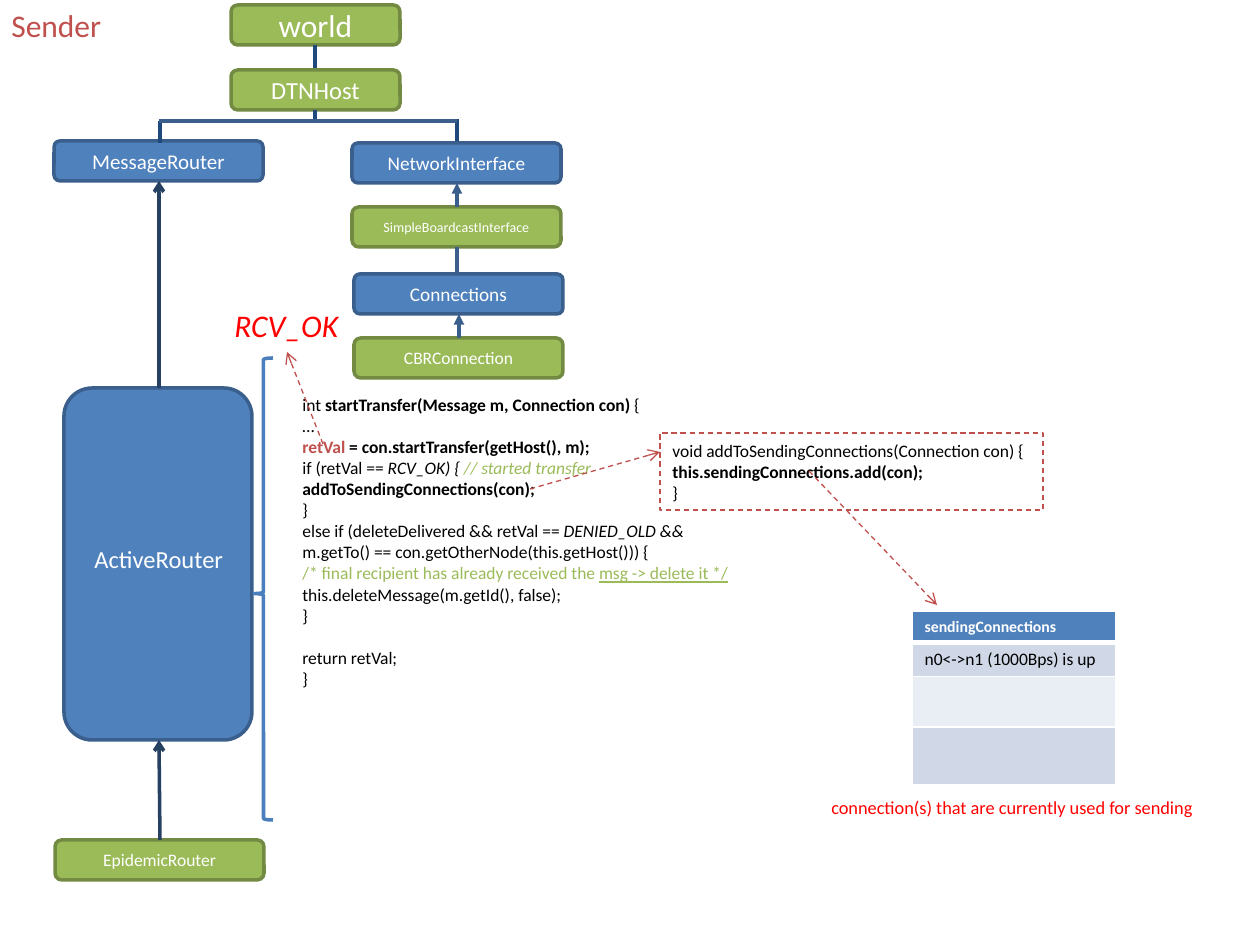
from dataclasses import dataclass

from lxml import etree
from pptx import Presentation
from pptx.dml.color import RGBColor
from pptx.enum.dml import MSO_LINE
from pptx.enum.shapes import MSO_CONNECTOR, MSO_SHAPE
from pptx.enum.text import MSO_ANCHOR, PP_ALIGN
from pptx.oxml.ns import qn
from pptx.util import Emu, Pt

STRAIGHT = MSO_CONNECTOR.STRAIGHT
ROUNDED, RECTANGLE, BRACE = MSO_SHAPE.ROUNDED_RECTANGLE, MSO_SHAPE.RECTANGLE, MSO_SHAPE.LEFT_BRACE
DASH = MSO_LINE.DASH
MIDDLE, CENTER, LEFT = MSO_ANCHOR.MIDDLE, PP_ALIGN.CENTER, PP_ALIGN.LEFT
EMU_PER_PX = 914400 / 126


@dataclass(frozen=True)
class Theme:
    font: str = "Calibri"
    white: str = "FFFFFF"
    black: str = "000000"
    green: str = "9BBB59"
    green_edge: str = "738A42"
    blue: str = "4F81BD"
    blue_edge: str = "3A5F8C"
    brace: str = "4B7EBC"
    navy: str = "1F497D"
    dark_navy: str = "254061"
    brick: str = "C0504D"
    red: str = "FF0000"
    band: str = "D0D8E8"
    pale_band: str = "E9EDF4"
    title: float = 18
    heading: float = 14
    label: float = 12
    sublabel: float = 11
    caption: float = 10.5
    code: float = 10
    header: float = 9
    tiny: float = 8
    thick: float = 2
    thin: float = 0.75


def px(value):
    return Emu(round(value * EMU_PER_PX))


def rgb(value):
    return RGBColor.from_string(value)


class Diagram:
    def __init__(self, slide, theme):
        self.slide, self.theme = slide, theme

    def style_font(self, font, size, color, bold=False, italic=False):
        font.name, font.size = self.theme.font, Pt(size)
        font.bold, font.italic = bold, italic
        font.color.rgb = rgb(color)

    def stroke(self, line, color, width, dash=None):
        line.color.rgb, line.width = rgb(color), Pt(width)
        if dash:
            line.dash_style = dash

    def shape(self, kind, frame, edge, width, fill=None, dash=None):
        box = self.slide.shapes.add_shape(kind, *map(px, frame))
        box.shadow.inherit = False
        if fill:
            box.fill.solid()
            box.fill.fore_color.rgb = rgb(fill)
        else:
            box.fill.background()
        self.stroke(box.line, edge, width, dash)
        return box

    def node(self, frame, name="", size=10, is_blue=False):
        theme = self.theme
        fill, edge = (theme.blue, theme.blue_edge) if is_blue else (theme.green, theme.green_edge)
        box = self.shape(ROUNDED, frame, edge, theme.thick, fill)
        if is_blue:
            box.adjustments[0] = 0.15
        if name:
            box.text_frame.vertical_anchor = MIDDLE
            para = box.text_frame.paragraphs[0]
            para.text, para.alignment = name, CENTER
            self.style_font(para.font, size, theme.white)

    def text(self, frame, words, size, color, italic=False):
        box = self.slide.shapes.add_textbox(*map(px, frame))
        box.text_frame.word_wrap = False
        para = box.text_frame.paragraphs[0]
        para.text = words
        self.style_font(para.font, size, color, italic=italic)

    def code(self, box, lines, gap_before=None):
        """Each line is a list of (text, style) spans; style letters are b, i, u, or a colour name."""
        frame = box.text_frame
        frame.word_wrap = False
        for index, spans in enumerate(lines):
            para = frame.paragraphs[0] if index == 0 else frame.add_paragraph()
            para.alignment = LEFT
            if index == gap_before:
                para.space_before = Pt(self.theme.code * 1.22)
            for words, styles in spans:
                span = para.add_run()
                span.text = words
                color = next((s for s in styles if len(s) > 1), "black")
                self.style_font(span.font, self.theme.code, getattr(self.theme, color),
                                "b" in styles, "i" in styles)
                span.font.underline = "u" in styles

    def line(self, start, end, color, width, head=None, dash=None):
        link = self.slide.shapes.add_connector(STRAIGHT, *map(px, start + end))
        self.stroke(link.line, color, width, dash)
        if head:
            etree.SubElement(link.line._get_or_add_ln(), qn("a:tailEnd"), type=head)
        etree.SubElement(link._element.spPr, qn("a:effectLst"))

    def table(self, frame, rows):
        theme = self.theme
        grid = self.slide.shapes.add_table(len(rows), 1, *map(px, frame)).table
        for index, (height, words, size, color, fill) in enumerate(rows):
            grid.rows[index].height = px(height)
            cell = grid.cell(index, 0)
            if words:
                para = cell.text_frame.paragraphs[0]
                para.text = words
                self.style_font(para.font, size, color, bold=index == 0)
            properties = cell._tc.get_or_add_tcPr()
            for side in ("lnL", "lnR", "lnT", "lnB"):
                heavy = (index, side) in ((0, "lnB"), (1, "lnT"))
                border = etree.SubElement(properties, qn("a:" + side), w=str(Pt(3 if heavy else 1)))
                paint = etree.SubElement(border, qn("a:solidFill"))
                etree.SubElement(paint, qn("a:srgbClr"), val=theme.white)
            cell.fill.solid()
            cell.fill.fore_color.rgb = rgb(fill)


def main():
    deck = Presentation()
    deck.slide_width, deck.slide_height = px(1260), px(945)
    page = deck.slides.add_slide(deck.slide_layouts[6])
    theme = Theme()
    diagram = Diagram(page, theme)

    # Class boxes: left, top, width, name, size, is_blue
    for left, top, width, name, size, is_blue in (
        (231, 5, 169, "world", theme.title, False),
        (231, 70, 169, "DTNHost", theme.heading, False),
        (54, 141, 209, "MessageRouter", theme.label, True),
        (352, 143, 209, "NetworkInterface", theme.sublabel, True),
        (352, 207, 209, "SimpleBoardcastInterface", theme.tiny, False),
        (354, 274, 209, "Connections", theme.sublabel, True),
        (354, 338, 209, "CBRConnection", theme.code, False),
        (55, 840, 209, "EpidemicRouter", theme.code, False),
    ):
        diagram.node((left, top, width, 40), name, size, is_blue)
    diagram.node((64, 388, 188, 352), is_blue=True)

    # Hierarchy lines
    for start, end, color, head in (
        ((315, 45), (315, 68), theme.navy, None),
        ((315, 110), (315, 121), theme.navy, None),
        ((160, 121), (160, 143), theme.navy, None),
        ((457, 119), (457, 141), theme.navy, None),
        ((159, 121), (326, 121), theme.blue_edge, None),
        ((290, 121), (457, 121), theme.blue_edge, None),
        ((160, 840), (159, 740), theme.dark_navy, "arrow"),
        ((159, 388), (159, 181), theme.dark_navy, "arrow"),
        ((457, 207), (457, 183), theme.blue_edge, "triangle"),
        ((457, 247), (457, 274), theme.blue_edge, None),
        ((459, 338), (459, 314), theme.blue_edge, "triangle"),
    ):
        diagram.line(start, end, color, theme.thick, head)

    # Brace from the active router to its code
    brace = diagram.shape(BRACE, (254, 358, 19, 462), theme.brace, theme.thick)
    brace.adjustments[0], brace.adjustments[1] = 0.08, 0.51

    # Labels
    diagram.text((82, 538, 156, 43), "ActiveRouter", theme.heading, theme.white)
    diagram.text((-1, 0, 116, 50), "Sender", theme.title, theme.brick)
    diagram.text((222, 300, 130, 50), "RCV_OK", theme.title, theme.red, italic=True)
    diagram.text((819, 790, 393, 35), "connection(s) that are currently used for sending",
                 theme.caption, theme.red)

    # Code of the transfer method
    listing = page.shapes.add_textbox(*map(px, (290, 388, 457, 310)))
    diagram.code(listing, [
        [("int ", ()), ("startTransfer(Message m, Connection con) ", ("b",)), ("{", ())],
        [("…", ())],
        [("retVal", ("b", "brick")), (" = con.startTransfer(getHost(), m);", ("b",))],
        [("if (retVal == ", ()), ("RCV_OK) { ", ("i",)), ("// started transfer", ("i", "green"))],
        [("addToSendingConnections(con);", ("b",))],
        [("}", ())],
        [("else if (deleteDelivered && retVal == ", ()), ("DENIED_OLD &&", ("i",))],
        [("m.getTo() == con.getOtherNode(this.getHost())) {", ())],
        [("/* final recipient has already received the ", ("green",)),
         ("msg -> delete it */", ("u", "green"))],
        [("this.deleteMessage(m.getId(), false);", ())],
        [("}", ())],
        [("return retVal;", ())],
        [("}", ())],
    ], gap_before=11)

    # Code of the called method
    callout = diagram.shape(RECTANGLE, (660, 433, 383, 77), theme.brick, theme.thin, dash=DASH)
    diagram.code(callout, [
        [("void addToSendingConnections(Connection con) {", ())],
        [("this.sendingConnections.add(con);", ("b",))],
        [("}", ())],
    ])

    # Dashed call arrows
    for start, end in (((323, 444), (287, 352)), ((530, 489), (660, 452)), ((809, 471), (937, 605))):
        diagram.line(start, end, theme.brick, theme.thin, "arrow", DASH)

    # Table of sending connections: height, words, size, colour, fill
    diagram.table((912, 611, 204, 172), [
        (30, "sendingConnections", theme.header, theme.white, theme.blue),
        (34, "n0<->n1 (1000Bps) is up", theme.code, theme.black, theme.band),
        (50, "", theme.code, theme.black, theme.pale_band),
        (58, "", theme.code, theme.black, theme.band),
    ])
    deck.save("out.pptx")


if __name__ == "__main__":
    main()
